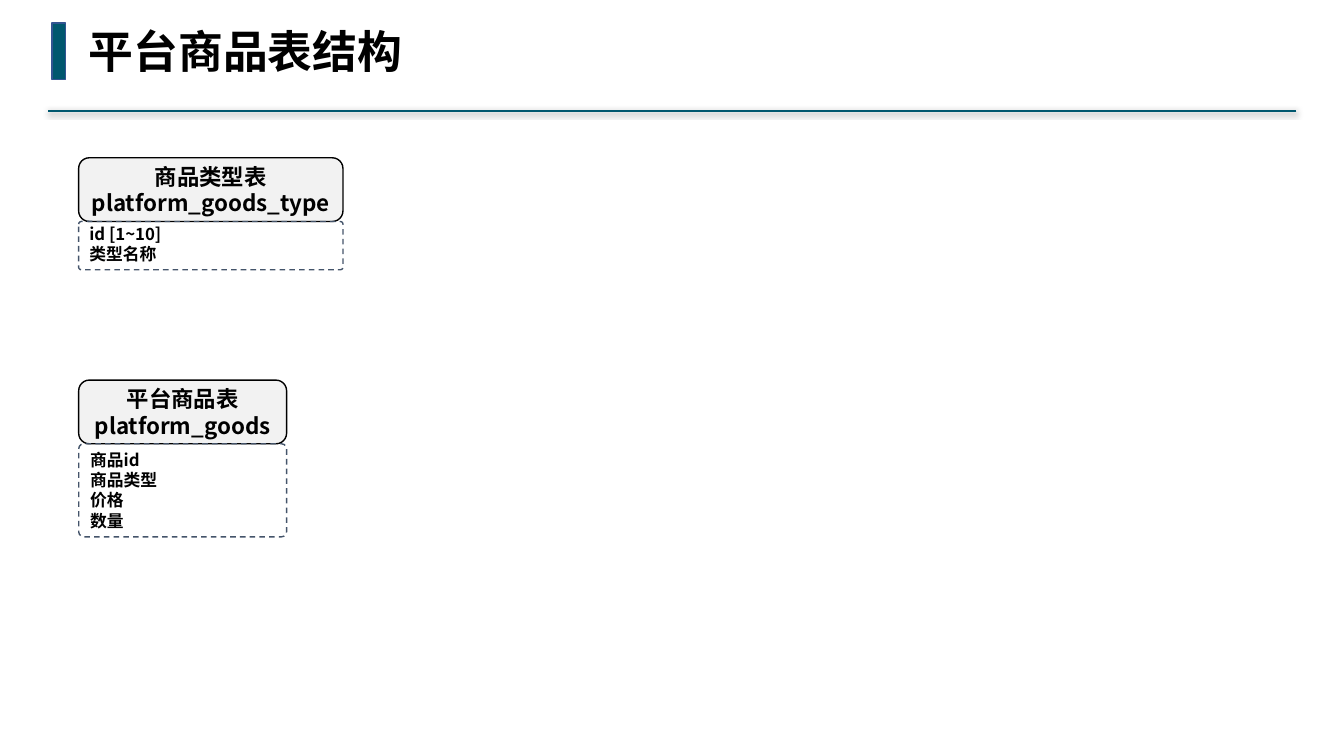
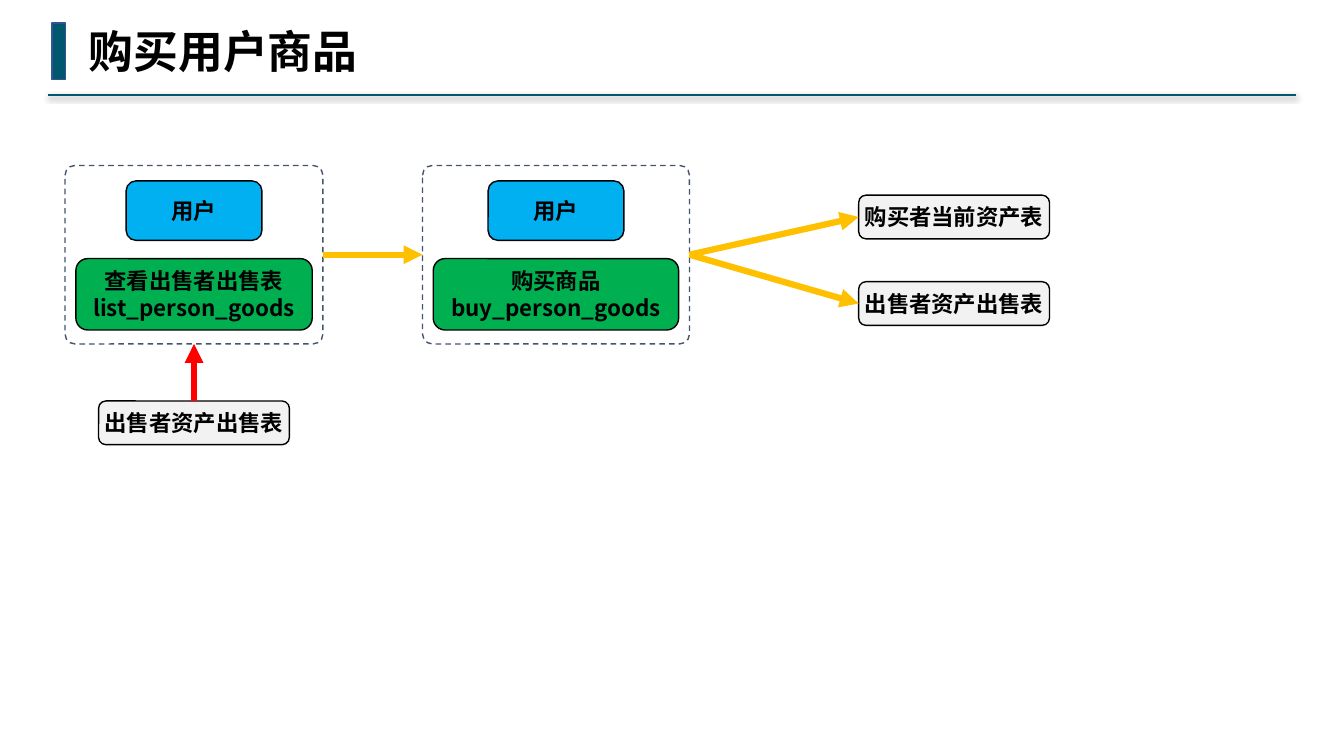
from lxml import etree
from pptx import Presentation
from pptx import util as u
from pptx.dml import color
from pptx.enum import dml, shapes, text
from pptx.oxml import ns

HEX = {"ink": "000000", "teal": "00576E", "edge": "325491", "dash": "44546A",
       "gray": "F2F2F2", "blue": "00B0F0", "green": "00B050",
       "gold": "FFC000", "red": "FF0000"}
SANS, MONO = "Noto Sans CJK SC", "DejaVu Sans Mono"
PAD = 2.88
LABEL = {"word_wrap": False, "vertical_anchor": text.MSO_ANCHOR.MIDDLE,
         **{f"margin_{side}": u.Pt(PAD)
            for side in ("left", "right", "top", "bottom")}}
FIELDS = {"word_wrap": True, "vertical_anchor": text.MSO_ANCHOR.BOTTOM}
TITLE = {"word_wrap": False, "auto_size": text.MSO_AUTO_SIZE.SHAPE_TO_FIT_TEXT}
LEFT, MID = text.PP_ALIGN.LEFT, text.PP_ALIGN.CENTER
TOP, WEST, BASE, EAST = range(4)


def rgb(name):
    """Look up a palette colour."""
    return color.RGBColor.from_string(HEX[name])


def style(item, values):
    """Set each attribute named in values."""
    for key, value in values.items():
        setattr(item, key, value)


def write(shape, lines, size, frame, align=LEFT, face=SANS):
    """Fill a shape with bold lines, one paragraph each."""
    body = shape.text_frame
    style(body, frame)
    for i, line in enumerate(lines):
        para = body.add_paragraph() if i else body.paragraphs[0]
        para.alignment = align
        run = para.add_run()
        run.text = line
        style(run.font, {"size": u.Pt(size), "bold": True, "name": face})
        run.font.color.rgb = rgb("ink")
        east = etree.SubElement(run.font._element, ns.qn("a:ea"))
        east.set("typeface", SANS)


def block(slide, box, fill=None, line="ink", kind="ROUNDED_RECTANGLE"):
    """Add an outlined shape in box, hollow when it has no fill."""
    shape = slide.shapes.add_shape(getattr(shapes.MSO_SHAPE, kind),
                                   *map(u.Pt, box))
    shape.shadow.inherit = False
    if fill:
        shape.fill.solid()
        shape.fill.fore_color.rgb = rgb(fill)
    else:
        shape.fill.background()
    shape.line.color.rgb = rgb(line)
    shape.line.width = u.Pt(1)
    return shape


def dashed(slide, box):
    """Add a hollow dashed frame with tight corners."""
    shape = block(slide, box, line="dash")
    shape.adjustments[0] = 0.055
    shape.line.dash_style = dml.MSO_LINE.DASH
    return shape


def label(slide, box, lines, fill="gray"):
    """Add a filled block with centred text."""
    shape = block(slide, box, fill)
    write(shape, lines, 16, LABEL, MID)
    return shape


def stroke(slide, ends, hue, width):
    """Add a straight line; return it with its empty effect list."""
    line = slide.shapes.add_connector(shapes.MSO_CONNECTOR.STRAIGHT,
                                      *map(u.Pt, ends))
    line.line.color.rgb = rgb(hue)
    line.line.width = u.Pt(width)
    return line, etree.SubElement(line.element.spPr, ns.qn("a:effectLst"))


def arrow(slide, start, exit, goal, entry, hue="gold"):
    """Join two shapes at the given sides with an arrow."""
    line, _ = stroke(slide, (0, 0, 0, 0), hue, 4.5)
    line.begin_connect(start, exit)
    line.end_connect(goal, entry)
    edge = line.element.spPr.find(ns.qn("a:ln"))
    etree.SubElement(edge, ns.qn("a:tailEnd"), type="triangle")


def header(slide, title, rule):
    """Draw the title, its side bar and the shadowed rule at height rule."""
    _, effects = stroke(slide, (926, rule, 34, rule), "teal", 1.5)
    shade = etree.SubElement(effects, ns.qn("a:outerShdw"),
                             blurRad=str(u.Pt(4)), dist=str(u.Pt(1)),
                             dir="5400000", rotWithShape="0")
    tint = etree.SubElement(shade, ns.qn("a:srgbClr"), val=HEX["ink"])
    etree.SubElement(tint, ns.qn("a:alpha"), val="40000")
    block(slide, (37.2, 16.4, 9.6, 40.4), "teal", "edge", "RECTANGLE")
    size = 32
    box = (56.3, 13.5, size * len(title) + 16, 46)
    write(slide.shapes.add_textbox(*map(u.Pt, box)), [title], size, TITLE,
          face=MONO)


def table(slide, box, names, fields):
    """Draw a database table: named head above a dashed field list."""
    x, y, w, h = box
    head = 45.5
    label(slide, (x, y, w, head), names)
    write(dashed(slide, (x, y + head, w, h - head)), fields, 12, FIELDS)


def step(slide, box, lines):
    """Draw a dashed frame with the user above an action; return the frame."""
    x, y, w, h = box
    frame = dashed(slide, box)
    wide, side = 97, 7.7
    label(slide, (x + (w - wide) / 2, y + 11, wide, 42.5), ["用户"], "blue")
    label(slide, (x + side, y + 66.5, w - 2 * side, 51), lines, "green")
    return frame


def schema(slide):
    """Build the slide of table structures."""
    header(slide, "平台商品表结构", 79.3)
    table(slide, (56.2, 112.7, 188.8, 80), ["商品类型表", "platform_goods_type"],
          ["id [1~10]", "类型名称"])
    table(slide, (56.2, 271.5, 148.5, 112), ["平台商品表", "platform_goods"],
          ["商品id", "商品类型", "价格", "数量"])


def flow(slide):
    """Build the slide of the purchase flow."""
    header(slide, "购买用户商品", 68.2)
    x, y, w, h = 46.5, 118.2, 184.2, 127.5
    view = step(slide, (x, y, w, h), ["查看出售者出售表", "list_person_goods"])
    buy = step(slide, (301.8, y, 190.7, h), ["购买商品", "buy_person_goods"])
    arrow(slide, view, EAST, buy, WEST)
    wide, high = 136.3, 31.2
    for top, name in ((139.4, "购买者当前资产表"), (201.2, "出售者资产出售表")):
        goal = label(slide, (613.4, top, wide, high), [name])
        arrow(slide, buy, EAST, goal, WEST)
    stock = label(slide, (x + (w - wide) / 2, 286.4, wide, high),
                  ["出售者资产出售表"])
    arrow(slide, stock, TOP, view, BASE, "red")


deck = Presentation()
style(deck, {"slide_width": u.Pt(960), "slide_height": u.Pt(540)})
for build in (schema, flow):
    build(deck.slides.add_slide(deck.slide_layouts[6]))
deck.save("out.pptx")
